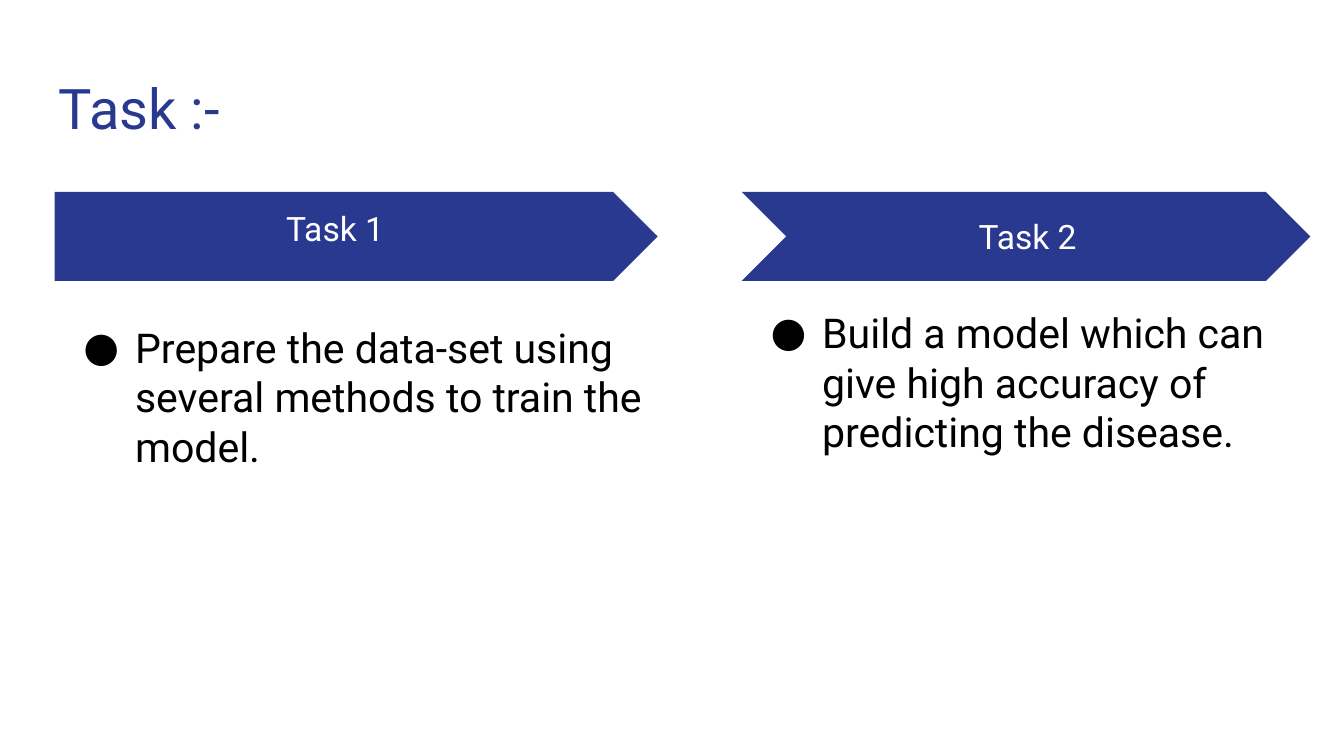
from dataclasses import dataclass

from pptx import Presentation
from pptx import util as u
from pptx.dml.color import RGBColor
from pptx.enum import shapes, text
from pptx.oxml import parse_xml
from pptx.oxml.ns import nsdecls


@dataclass(frozen=True)
class Theme:
    """Colours, typeface and type sizes of the slide."""
    font: str = "Roboto"
    blue: str = "2A3990"
    white: str = "FFFFFF"
    black: str = "000000"
    title_size: float = 30
    label_size: float = 18
    body_size: float = 22
    inset: float = 7.2


THEME = Theme()


def points(*lengths):
    """Turn numbers into point lengths."""
    return [u.Pt(length) for length in lengths]


def add_text(page, frame, words, size, color, anchor=text.MSO_ANCHOR.TOP):
    """Add a wrapped text box and return its paragraph."""
    box = page.shapes.add_textbox(*points(*frame)).text_frame
    box.word_wrap = True
    box.vertical_anchor = anchor
    box.margin_left = box.margin_right = u.Pt(THEME.inset)
    box.margin_top = box.margin_bottom = u.Pt(THEME.inset)
    para = box.paragraphs[0]
    para.text = words
    para.font.name = THEME.font
    para.font.size = u.Pt(size)
    para.font.color.rgb = RGBColor.from_string(color)
    return para


def set_indent(para, left, first=0):
    """Indent a paragraph and its first line."""
    properties = para._p.get_or_add_pPr()
    properties.set("marL", str(u.Pt(left)))
    properties.set("indent", str(u.Pt(first)))
    return properties


def add_banner(page, kind, frame):
    """Add a blue arrow banner."""
    banner = page.shapes.add_shape(kind, *points(*frame))
    banner.adjustments[0] = 0.5
    banner.shadow.inherit = False
    banner.fill.solid()
    banner.fill.fore_color.rgb = RGBColor.from_string(THEME.blue)
    banner.line.fill.background()


def add_label(page, frame, words, indent):
    """Add the white label of a banner."""
    para = add_text(page, frame, words, THEME.label_size, THEME.white,
                    text.MSO_ANCHOR.MIDDLE)
    set_indent(para, indent)


def add_bullet(page, frame, words):
    """Add a bulleted description."""
    para = add_text(page, frame, words, THEME.body_size, THEME.black)
    properties = set_indent(para, 36, -27.7)
    space = nsdecls("a")
    for markup in (
        f'<a:buClr {space}><a:srgbClr val="{THEME.black}"/></a:buClr>',
        f'<a:buFont {space} typeface="{THEME.font}"/>',
        f'<a:buChar {space} char="●"/>',
    ):
        properties.append(parse_xml(markup))


def main():
    """Build the task slide."""
    deck = Presentation()
    deck.slide_width, deck.slide_height = points(720, 405)
    page = deck.slides.add_slide(deck.slide_layouts[6])
    add_text(page, (24.5, 32.4, 671, 47.5), "Task :-", THEME.title_size, THEME.blue)

    banner_top, banner_height, label_top = 102.8, 47.7, 110.2
    kinds = shapes.MSO_SHAPE
    tasks = (
        (kinds.PENTAGON, 29.3, 323, "Task 1", (97.2, 177.8, 24.5), 49,
         (165.6, 323, 113.8),
         "Prepare the data-set using several methods to train the model."),
        (kinds.CHEVRON, 397.4, 304.6, "Task 2", (499.7, 157, 32.4), 17.5,
         (157.7, 298, 208.8),
         "Build a model which can give high accuracy of predicting the disease."),
    )
    for kind, left, width, name, label, indent, body, words in tasks:
        add_banner(page, kind, (left, banner_top, width, banner_height))
        label_left, label_width, label_height = label
        add_label(page, (label_left, label_top, label_width, label_height), name, indent)
        body_top, body_width, body_height = body
        add_bullet(page, (left, body_top, body_width, body_height), words)
    deck.save("out.pptx")


main()
